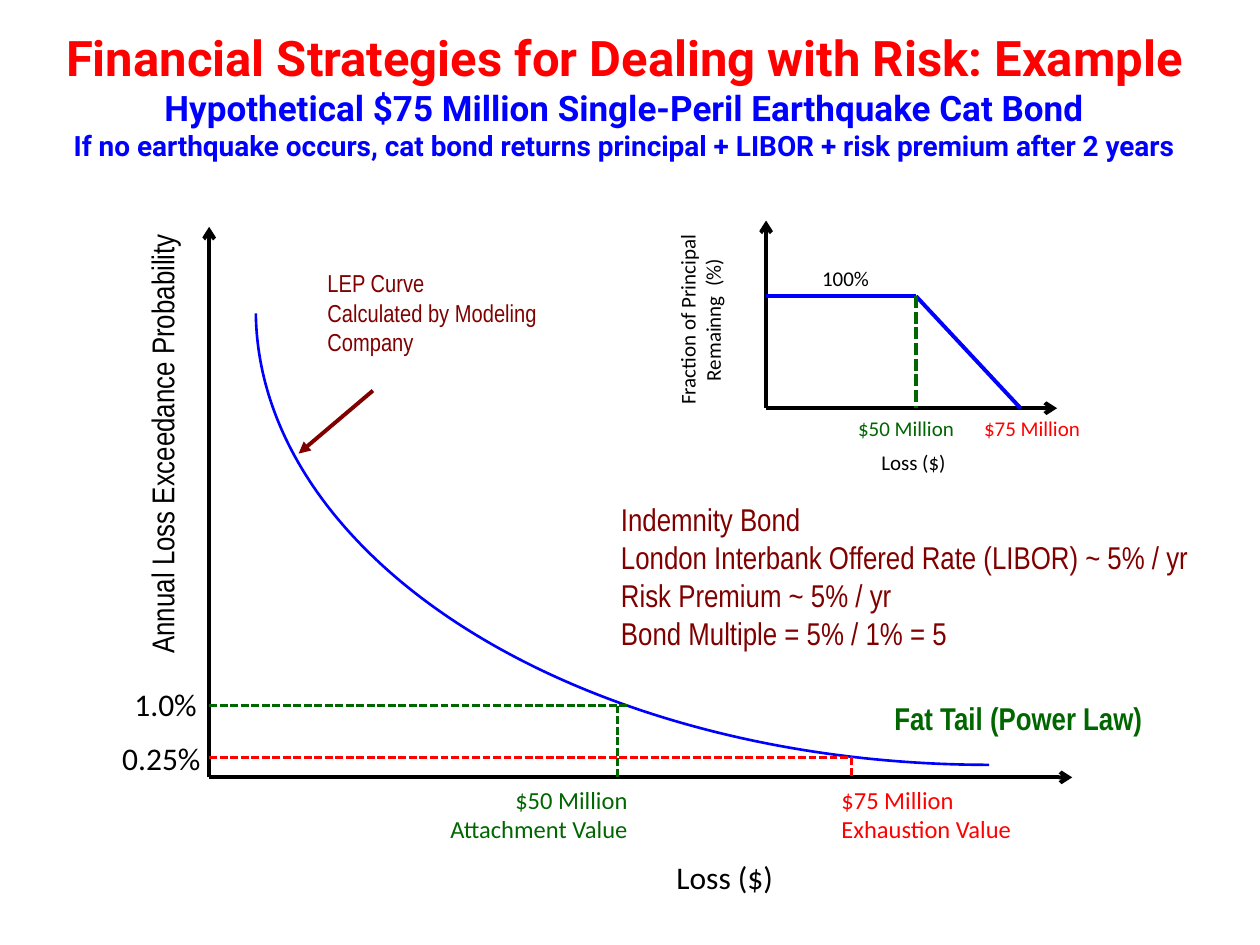
from dataclasses import dataclass

from lxml import etree
from pptx import Presentation
from pptx.dml.color import RGBColor
from pptx.enum.dml import MSO_LINE
from pptx.enum.shapes import MSO_CONNECTOR, MSO_SHAPE
from pptx.enum.text import MSO_AUTO_SIZE, PP_ALIGN
from pptx.oxml.ns import qn
from pptx.util import Inches, Pt

LEFT, CENTER, RIGHT = PP_ALIGN.LEFT, PP_ALIGN.CENTER, PP_ALIGN.RIGHT
DASH = MSO_LINE.SQUARE_DOT
FIT = MSO_AUTO_SIZE.SHAPE_TO_FIT_TEXT
STRAIGHT = MSO_CONNECTOR.STRAIGHT
ARC = MSO_SHAPE.ARC

WIDTH, HEIGHT = Inches(10), Inches(7.5)
COLUMNS, ROWS = 100, 75


@dataclass(frozen=True)
class Theme:
    black: str = "000000"
    blue: str = "0000FF"
    red: str = "FF0000"
    green: str = "006600"
    maroon: str = "800000"
    heading: str = "Roboto"
    body: str = "Calibri"
    narrow: str = "Arial Narrow"
    title: int = 28
    subtitle: int = 20
    tagline: int = 16
    large: int = 18
    medium: int = 14
    small: int = 12
    thick: float = 2.25
    thin: float = 1.5


THEME = Theme()


def col(n):
    return round(WIDTH * n / COLUMNS)


def row(n):
    return round(HEIGHT * n / ROWS)


def cells(x, y, w, h):
    return col(x), row(y), col(w), row(h)


def style_font(font, face, size, color, bold=False):
    font.name = face
    font.size = Pt(size)
    font.bold = bold
    font.color.rgb = RGBColor.from_string(color)


def add_label(slide, area, lines, size, color, face=THEME.body, align=LEFT,
              bold=False, wrap=True, rotation=0):
    label = slide.shapes.add_textbox(*cells(*area))
    label.rotation = rotation
    frame = label.text_frame
    frame.word_wrap = wrap
    frame.auto_size = FIT
    frame.text = "\n".join(lines)
    for paragraph in frame.paragraphs:
        paragraph.alignment = align
        style_font(paragraph.font, face, size, color, bold)
    return frame


def add_line(slide, start, end, color, width, dashed=False, head=None):
    connector = slide.shapes.add_connector(
        STRAIGHT, col(start[0]), row(start[1]), col(end[0]), row(end[1]))
    line = connector.line
    line.color.rgb = RGBColor.from_string(color)
    line.width = Pt(width)
    if dashed:
        line.dash_style = DASH
    if head:
        etree.SubElement(line._get_or_add_ln(), qn("a:tailEnd"), type=head)
    etree.SubElement(connector._element.spPr, qn("a:effectLst"))


def add_axes(slide, origin, right, top):
    x, y = origin
    for end in ((x, top), (right, y)):
        add_line(slide, origin, end, THEME.black, THEME.thick, head="arrow")


def add_loss_curve(slide):
    curve = slide.shapes.add_shape(ARC, *cells(20.3, -11.5, 116.4, 72.2))
    curve.rotation = 180
    curve.adjustments[0] = 162
    curve.adjustments[1] = 215.84
    curve.shadow.inherit = False
    curve.fill.background()
    curve.line.color.rgb = RGBColor.from_string(THEME.blue)
    curve.line.width = Pt(THEME.thin)


def add_heading(slide):
    lines = [
        ("Financial Strategies for Dealing with Risk: Example", THEME.title, THEME.red),
        ("Hypothetical $75 Million Single-Peril Earthquake Cat Bond",
         THEME.subtitle, THEME.blue),
        ("If no earthquake occurs, cat bond returns principal + LIBOR"
         " + risk premium after 2 years", THEME.tagline, THEME.blue),
    ]
    frame = add_label(slide, (3.3, 1.7, 92.5, 11.8), [text for text, _, _ in lines],
                      THEME.title, THEME.red, THEME.heading, CENTER, bold=True)
    for paragraph, (_, size, color) in zip(frame.paragraphs, lines):
        style_font(paragraph.font, THEME.heading, size, color, bold=True)


def add_probability_chart(slide):
    origin_x, base = origin = 16.6, 61.7
    add_loss_curve(slide)
    add_axes(slide, origin, 85.1, 18)
    thresholds = [
        (49, 56, 49.9, THEME.green, "1.0%", (5.8, 53.9, 10.8, 4),
         ["$50 Million", "Attachment Value"], 25.8, RIGHT),
        (67.6, 60.1, 67.6, THEME.red, "0.25%", (6.9, 58.2, 10, 4),
         ["$75 Million", "Exhaustion Value"], 65.8, LEFT),
    ]
    for loss, level, reach, color, chance, area, value, left, align in thresholds:
        add_line(slide, (origin_x, level), (reach, level), color, THEME.thin, dashed=True)
        add_line(slide, (loss, level), (loss, base), color, THEME.thin, dashed=True)
        add_label(slide, area, [chance], THEME.large, THEME.black, align=RIGHT)
        add_label(slide, (left, 61.8, 25, 5.9), value, THEME.medium, color, align=align)
    add_label(slide, (-5, 33, 35.7, 4), ["Annual Loss Exceedance Probability"],
              THEME.large, THEME.black, THEME.narrow, wrap=False, rotation=270)
    add_label(slide, (52.7, 67.6, 11.1, 4), ["Loss ($)"], THEME.large, THEME.black,
              wrap=False)
    add_label(slide, (25, 20.8, 24.2, 8.1),
              ["LEP Curve", "Calculated by Modeling Company"],
              THEME.medium, THEME.maroon, THEME.narrow)
    add_line(slide, (29.6, 31), (23.7, 36), THEME.maroon, THEME.thick, head="triangle")


def add_principal_chart(slide):
    origin_x, base = origin = 60.8, 32.4
    full, attachment, exhaustion = 23.5, 72.7, 81
    add_axes(slide, origin, 83.9, 17.5)
    corner = attachment, full
    add_line(slide, (origin_x, full), corner, THEME.blue, THEME.thick)
    add_line(slide, corner, (exhaustion, base), THEME.blue, THEME.thick)
    add_line(slide, corner, (attachment, base), THEME.green, THEME.thick, dashed=True)
    add_label(slide, (66.6, 35.2, 11.8, 3), ["Loss ($)"], THEME.small, THEME.black,
              align=CENTER)
    add_label(slide, (44.4, 22.8, 22.5, 5.2), ["Fraction of Principal Remainng  (%)"],
              THEME.small, THEME.black, align=CENTER, rotation=270)
    add_label(slide, (61.7, 20.6, 10.8, 3), ["100%"], THEME.small, THEME.black,
              align=CENTER)
    for left, value, color in ((64.9, "$50 Million", THEME.green),
                               (74.9, "$75 Million", THEME.red)):
        add_label(slide, (left, 32.5, 11.8, 3), [value], THEME.small, color, align=RIGHT)


def add_bond_notes(slide):
    add_label(slide, (48.3, 39.2, 47.5, 13.1),
              ["Indemnity Bond",
               "London Interbank Offered Rate (LIBOR) ~ 5% / yr",
               "Risk Premium ~ 5% / yr",
               "Bond Multiple = 5% / 1% = 5"],
              THEME.large, THEME.maroon, THEME.narrow)
    add_label(slide, (70, 55, 21.9, 4), ["Fat Tail (Power Law)"], THEME.large,
              THEME.green, THEME.narrow, bold=True, wrap=False)


def main():
    deck = Presentation()
    deck.slide_width, deck.slide_height = WIDTH, HEIGHT
    slide = deck.slides.add_slide(deck.slide_layouts[6])
    add_heading(slide)
    add_probability_chart(slide)
    add_principal_chart(slide)
    add_bond_notes(slide)
    deck.save("out.pptx")


if __name__ == "__main__":
    main()
